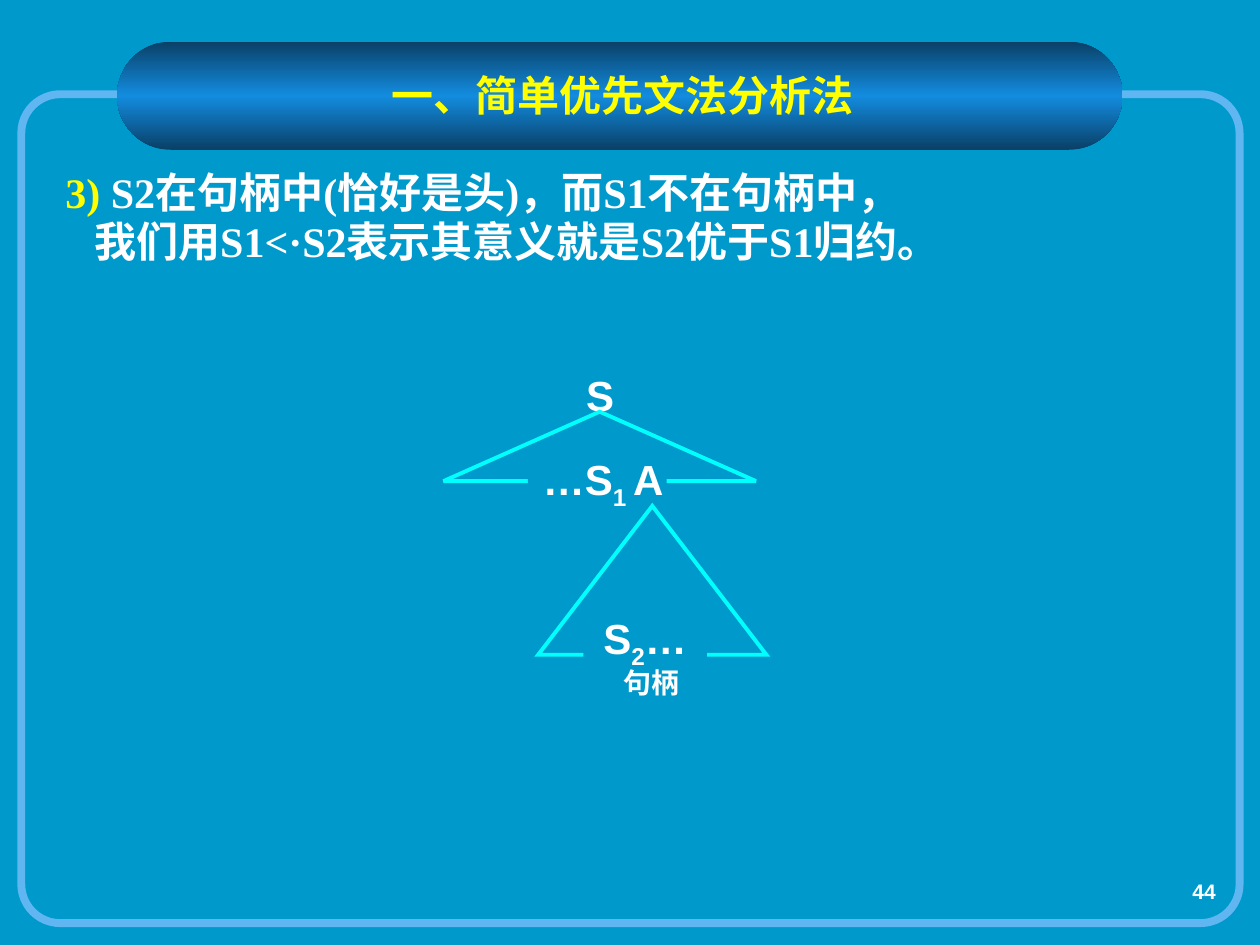
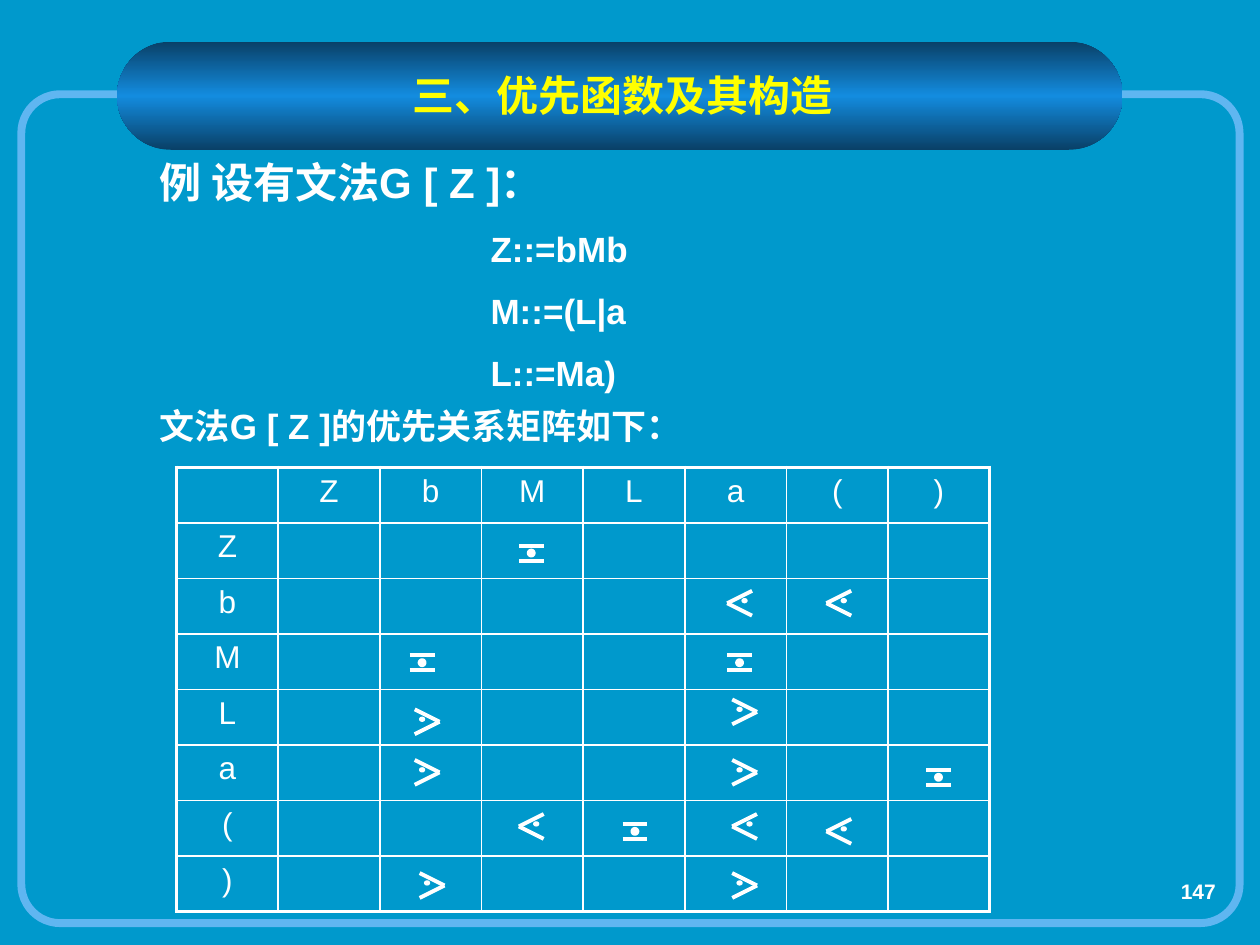
import pptx
import pptx.dml.color
import pptx.enum.shapes
import pptx.enum.text
import pptx.oxml
import pptx.oxml.ns
import pptx.util

Cm, Pt = pptx.util.Cm, pptx.util.Pt
RGB = pptx.dml.color.RGBColor
SHAPE = pptx.enum.shapes.MSO_SHAPE
ALIGN = pptx.enum.text.PP_ALIGN
ANCHOR = pptx.enum.text.MSO_ANCHOR
qn = pptx.oxml.ns.qn

BACKGROUND = RGB(0x00, 0x99, 0xCC)
FRAME = RGB(0x5F, 0xB6, 0xF1)
BAND_EDGE = RGB(0x09, 0x40, 0x67)
BAND_MIDDLE = RGB(0x13, 0x8C, 0xDF)
YELLOW = RGB(0xFF, 0xFF, 0x00)
WHITE = RGB(0xFF, 0xFF, 0xFF)
CYAN = RGB(0x00, 0xFF, 0xFF)
CJK = "Noto Sans CJK SC"

SYMBOLS = "ZbMLa()"
# Left and top of each relation sign, in cm from the corner of the matrix
RELATIONS = {
    "=": [(6.9, 1.58), (4.7, 3.79), (11.1, 3.79), (15.11, 6.1), (8.99, 7.19)],
    "<": [(11.1, 2.49), (13.1, 2.49), (13.1, 7.09), (11.2, 6.99), (6.9, 6.99)],
    ">": [(4.9, 8.18), (11.2, 8.18), (11.2, 5.9), (11.2, 4.68), (4.8, 4.88),
          (4.8, 5.9)],
}


# Basic parts

def add_xml(parent, tag, **attrs):
    child = parent.makeelement(qn(tag), attrs)
    parent.append(child)
    return child


def add_shape(shapes, kind, box, fill=None, line=None, width=1):
    sp = shapes.add_shape(kind, *map(Cm, box))
    sp.shadow.inherit = False
    if fill is None:
        sp.fill.background()
    else:
        sp.fill.solid()
        sp.fill.fore_color.rgb = fill
    if line is None:
        sp.line.fill.background()
    else:
        sp.line.color.rgb = line
        sp.line.width = Pt(width)
    return sp


def add_line(shapes, x1, y1, x2, y2):
    line = shapes.add_connector(pptx.enum.shapes.MSO_CONNECTOR.STRAIGHT,
                                Cm(x1), Cm(y1), Cm(x2), Cm(y2))
    line.line.color.rgb = WHITE
    line.line.width = Pt(2.25)
    add_xml(line._element.spPr, "a:effectLst")


def set_font(p, size, font="Arial", color=WHITE, bold=True):
    p.font.size = Pt(size)
    p.font.name = font
    p.font.bold = bold
    p.font.color.rgb = color
    add_xml(p._p.pPr.find(qn("a:defRPr")), "a:ea", typeface=CJK)


def set_indent(p, left):
    p._p.get_or_add_pPr().set("marL", str(Cm(left)))


def prepare_frame(sp, inset=True, anchor=ANCHOR.TOP):
    tf = sp.text_frame
    tf.word_wrap = True
    tf.vertical_anchor = anchor
    if not inset:
        tf.margin_left = tf.margin_right = tf.margin_top = tf.margin_bottom = 0
    return tf


def add_text(slide, box, text, size, align=ALIGN.LEFT, inset=True,
             anchor=ANCHOR.TOP, **font):
    sp = slide.shapes.add_textbox(*map(Cm, box))
    p = prepare_frame(sp, inset, anchor).paragraphs[0]
    p.add_run().text = text
    p.alignment = align
    set_font(p, size, **font)
    return sp


# Frame, title band and page number

def add_band(slide, box):
    sp = add_shape(slide.shapes, SHAPE.ROUNDED_RECTANGLE, box)
    sp.adjustments[0] = 0.5
    sp.fill.gradient()
    sp.fill.gradient_angle = 90
    stops = sp._element.spPr.find(qn("a:gradFill")).find(qn("a:gsLst"))
    for stop in list(stops):
        stops.remove(stop)
    for pos, color in ((0, BAND_EDGE), (50, BAND_MIDDLE), (100, BAND_EDGE)):
        stop = add_xml(stops, "a:gs", pos=str(pos * 1000))
        add_xml(stop, "a:srgbClr", val=str(color))


def new_slide(prs, title, number):
    slide = prs.slides.add_slide(prs.slide_layouts[6])
    slide.background.fill.solid()
    slide.background.fill.fore_color.rgb = BACKGROUND
    add_text(slide, (19.48, 17.58, 5.28, 1.07), number, 12, ALIGN.RIGHT)
    frame = add_shape(slide.shapes, SHAPE.ROUNDED_RECTANGLE,
                      (0.43, 1.9, 24.56, 16.71), line=FRAME, width=4.5)
    frame.adjustments[0] = 0.047
    add_band(slide, (2.36, 0.84, 20.27, 2.18))
    add_text(slide, (4.14, 1.14, 16.81, 1.52), title, 24, ALIGN.CENTER,
             anchor=ANCHOR.MIDDLE, font=CJK, color=YELLOW)
    return slide


# Slide 1: rule and derivation tree

def add_rule(slide, box):
    tf = prepare_frame(slide.shapes.add_textbox(*map(Cm, box)))
    p = tf.paragraphs[0]
    r = p.add_run()
    r.text = "3) "
    r.font.color.rgb = YELLOW
    p.add_run().text = "S2在句柄中(恰好是头)，而S1不在句柄中，"
    p = tf.add_paragraph()
    p.add_run().text = "我们用S1<·S2表示其意义就是S2优于S1归约。"
    set_indent(p, 0.58)
    for p in tf.paragraphs:
        p.line_spacing = 0.97
        set_font(p, 24, "Times New Roman")


def add_triangle(slide, box):
    sp = add_shape(slide.shapes, SHAPE.ISOSCELES_TRIANGLE, box, line=CYAN,
                   width=2.25)
    add_xml(sp._element.spPr.find(qn("a:ln")), "a:miter", lim="800000")


def add_node(slide, box, runs, indent=0):
    """Runs at odd places are subscripts."""
    sp = add_shape(slide.shapes, SHAPE.RECTANGLE, box, fill=BACKGROUND)
    p = prepare_frame(sp, False, ANCHOR.MIDDLE).paragraphs[0]
    for i, text in enumerate(runs):
        r = p.add_run()
        r.text = text
        if i % 2:
            r._r.get_or_add_rPr().set("baseline", "-25000")
    p.alignment = ALIGN.CENTER
    set_indent(p, indent)
    set_font(p, 24)


def add_tree(slide, x, y):
    add_text(slide, (x + 2.51, y, 1.3, 1.02), "S", 24, ALIGN.CENTER, False)
    add_triangle(slide, (x, y + 0.85, 6.3, 1.4))
    add_node(slide, (x + 1.7, y + 1.77, 2.8, 1.02), ("…S", "1 ", "A"), 0.24)
    add_triangle(slide, (x + 1.91, y + 2.75, 4.6, 3))
    add_node(slide, (x + 2.82, y + 4.97, 2.49, 1.02), ("S", "2", "…"))
    add_text(slide, (x + 2.29, y + 5.97, 3.81, 0.69), "句柄", 16,
             ALIGN.CENTER, False)


# Slide 2: grammar and precedence matrix

def add_grammar(slide, box):
    tf = prepare_frame(slide.shapes.add_textbox(*map(Cm, box)))
    lines = (("例 设有文法G [ Z ]：", 24, 0, 0),
             ("Z::=bMb", 20, 6.67, 11.5),
             ("M::=(L|a", 20, 6.67, 11.5),
             ("L::=Ma)", 20, 6.67, 11.5),
             ("文法G [ Z ]的优先关系矩阵如下：", 20, 0, 6.5))
    for i, (text, size, indent, before) in enumerate(lines):
        p = tf.add_paragraph() if i else tf.paragraphs[0]
        p.add_run().text = text
        p.space_before = Pt(before)
        set_indent(p, indent)
        set_font(p, size)


def set_borders(cell, row, col, last):
    outer = {"L": col == 0, "R": col == last, "T": row == 0, "B": row == last}
    for side, thick in outer.items():
        ln = add_xml(cell._tc.get_or_add_tcPr(), "a:ln" + side,
                     w=str(Pt(2.25 if thick else 1)))
        add_xml(add_xml(ln, "a:solidFill"), "a:srgbClr", val=str(WHITE))


def add_sign(slide, kind, x, y):
    shapes = slide.shapes.add_group_shape().shapes
    if kind == "=":
        for dy in (0, 0.3):
            add_line(shapes, x, y + dy, x + 0.5, y + dy)
        dot, width = (x + 0.2, y + 0.1, 0.1, 0.1), 2.25
    else:
        tip, end = (x, x + 0.5) if kind == "<" else (x + 0.5, x)
        add_line(shapes, end, y, tip, y + 0.25)
        add_line(shapes, tip, y + 0.25, end, y + 0.5)
        dot_x = x + (0.3 if kind == "<" else 0.1)
        dot, width = (dot_x, y + 0.16, 0.1, 0.08), 0.75
    add_shape(shapes, SHAPE.OVAL, dot, WHITE, WHITE, width)


def add_matrix(slide, x, y, cell_w, cell_h):
    last = len(SYMBOLS)
    n = last + 1
    table = slide.shapes.add_table(n, n, Cm(x), Cm(y), Cm(cell_w * n),
                                   Cm(cell_h * n)).table
    table.first_row = table.horz_banding = False
    labels = " " + SYMBOLS
    for i in range(n):
        table.columns[i].width = Cm(cell_w)
        table.rows[i].height = Cm(cell_h)
        for j in range(n):
            cell = table.cell(i, j)
            set_borders(cell, i, j, last)
            cell.fill.background()
            if (i == 0) != (j == 0):
                p = cell.text_frame.paragraphs[0]
                p.add_run().text = labels[i + j]
                p.alignment = ALIGN.CENTER
                set_font(p, 18, bold=False)
    for kind, places in RELATIONS.items():
        for dx, dy in places:
            add_sign(slide, kind, x + dx, y + dy)


def main():
    prs = pptx.Presentation()
    prs.slide_width, prs.slide_height = Cm(25.4), Cm(19.05)

    slide = new_slide(prs, "一、简单优先文法分析法", "44")
    add_rule(slide, (1.07, 3.3, 23.19, 2.5))
    add_tree(slide, 8.94, 7.45)

    slide = new_slide(prs, "三、优先函数及其构造", "147")
    add_grammar(slide, (2.97, 3.03, 19.1, 6.35))
    add_matrix(slide, 3.56, 9.42, 2.05, 1.12)

    prs.save("out.pptx")


if __name__ == "__main__":
    main()
